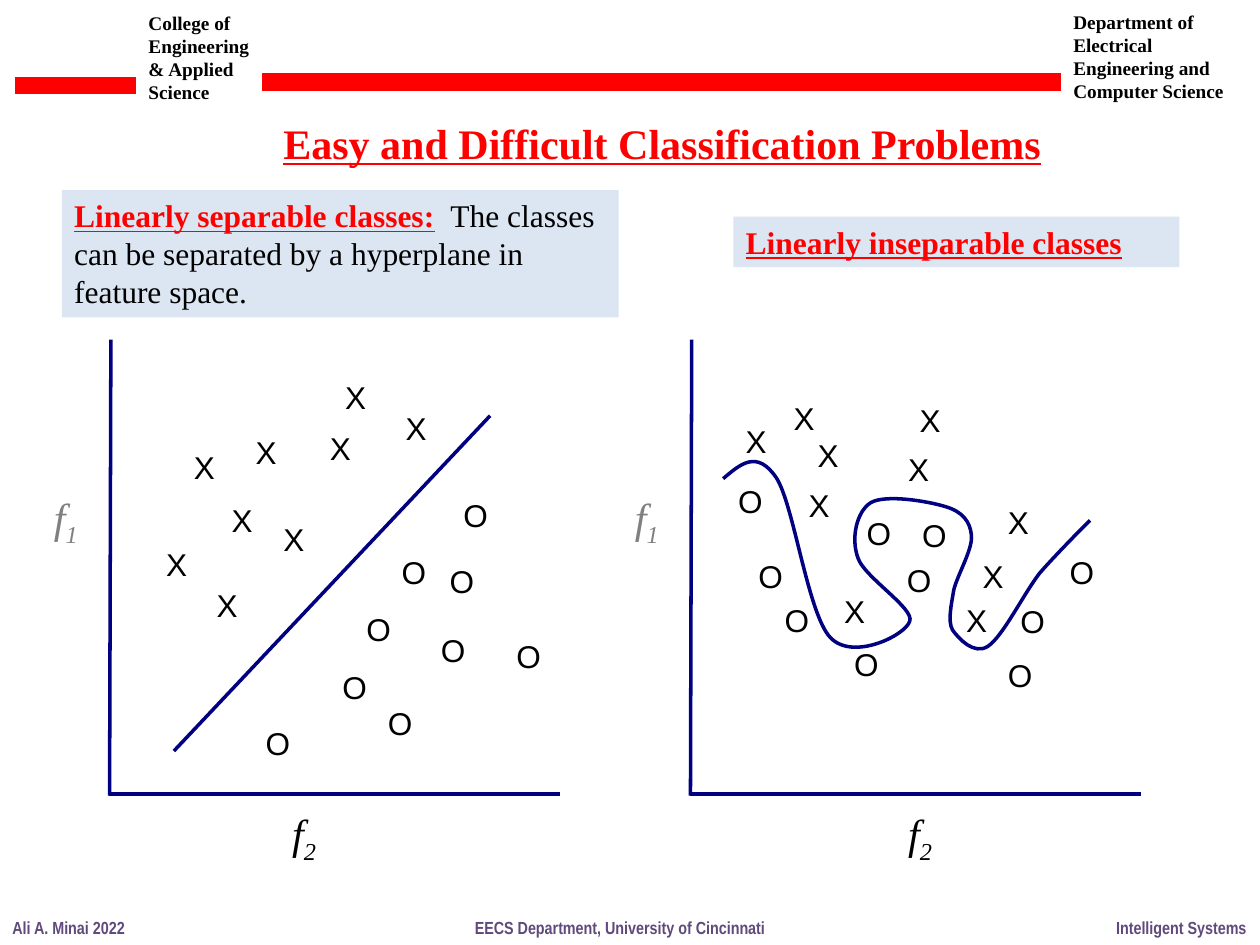
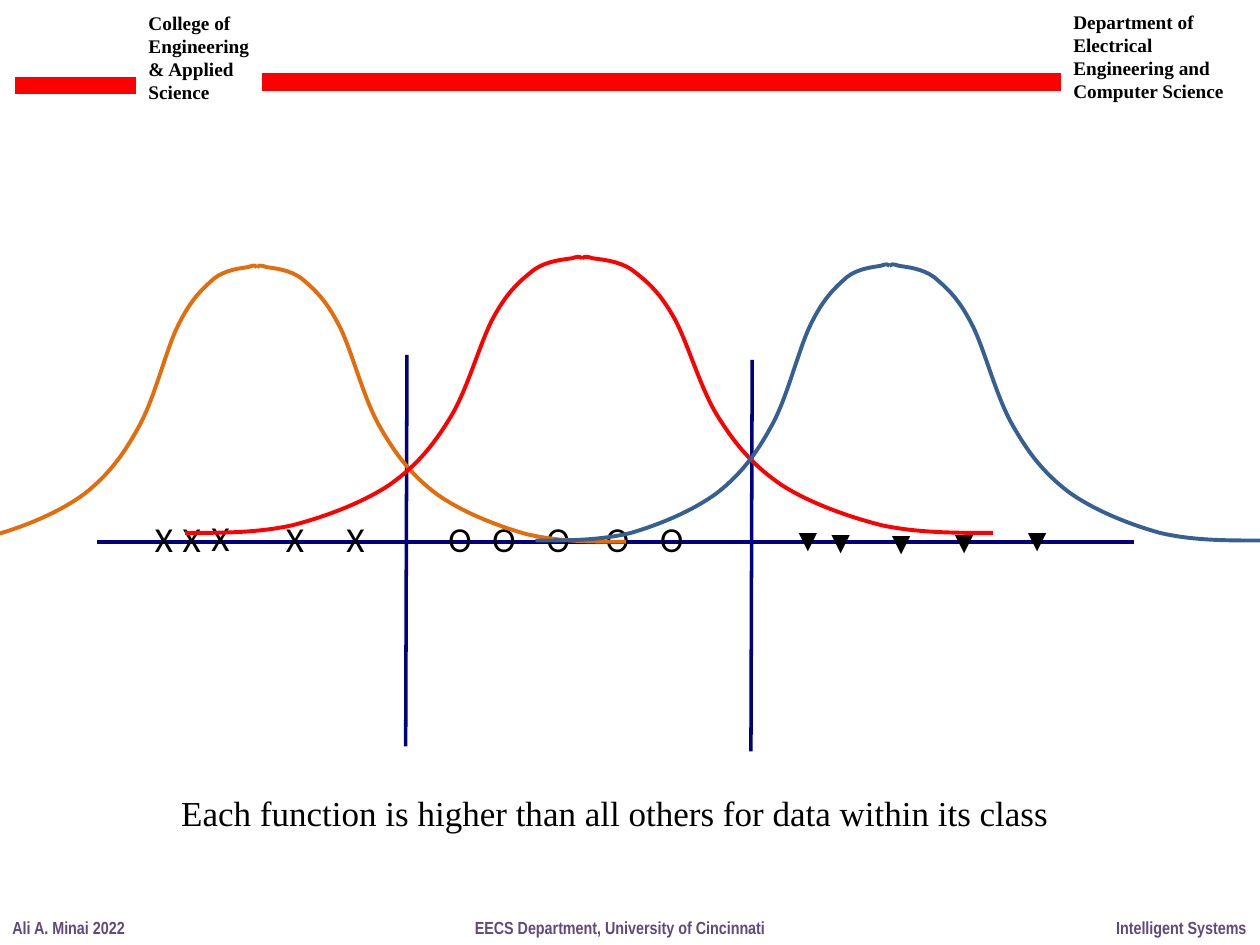
from lxml import etree
from pptx import Presentation
from pptx.dml.color import RGBColor
from pptx.enum import shapes as kinds, text as txt
from pptx.oxml import ns
from pptx.util import Inches, Pt

RED, NAVY, BLACK, GRAY, WHITE = "FF0000", "000080", "000000", "808080", "FFFFFF"
PURPLE, PALE_BLUE = "604A7B", "DCE6F2"
ORANGE, STEEL = "E46C0A", "376092"
SERIF, SANS, NARROW, ROUND = "Times New Roman", "Arial", "Arial Narrow", "Calibri"
HEADING = dict(color=RED, bold=True, underline=True)

PLOT_W, PLOT_H = 3.55, 3.59

# Mark positions are offsets from the top left corner of their plot.
EASY_X = [(.56, .8), (1.64, .65), (.86, 1.22), (1.05, .68), (1.76, .24),
          (.34, 1.57), (1.27, 1.37), (.74, 1.89), (2.24, .49)]
EASY_O = [(2.52, 2.25), (2.59, 1.7), (1.74, 2.54), (1.93, 2.08), (2.7, 1.18),
          (1.13, 2.99), (2.1, 2.83), (3.12, 2.3), (2.21, 1.63)]
HARD_O = [(.27, 1.07), (.43, 1.66), (.64, 2.01), (1.19, 2.36), (1.29, 1.32),
          (1.73, 1.34), (1.61, 1.69), (2.9, 1.63), (2.51, 2.02), (2.41, 2.45)]
HARD_X = [(.71, .41), (.33, .59), (.9, .7), (.83, 1.1), (1.11, 1.94),
          (1.62, .81), (1.71, .42), (2.08, 2.01), (2.21, 1.66), (2.41, 1.23)]

# Bezier knots and handles: start, then two handles and an end per segment.
BOUNDARY = [(.26, 1.08), (.39, .97), (.52, .86), (.67, 1.08),
            (.81, 1.29), (.92, 2.16), (1.1, 2.35),
            (1.28, 2.54), (1.7, 2.33), (1.73, 2.22),
            (1.77, 2.12), (1.37, 1.87), (1.32, 1.72),
            (1.26, 1.56), (1.31, 1.35), (1.42, 1.28),
            (1.54, 1.21), (1.88, 1.27), (2.01, 1.31),
            (2.15, 1.35), (2.21, 1.43), (2.22, 1.54),
            (2.23, 1.65), (2.11, 1.85), (2.08, 1.97),
            (2.06, 2.09), (2.03, 2.22), (2.07, 2.29),
            (2.12, 2.36), (2.24, 2.49), (2.35, 2.42),
            (2.47, 2.34), (2.63, 2.01), (2.76, 1.84),
            (2.9, 1.68), (3.15, 1.43), (3.15, 1.43)]
# Half a bell from foot to peak: distance from the foot, height above the base.
BELL_W = 2.82
BELL = [(0, 0), (.26, 0), (.51, 0), (.76, .06), (1, .13), (1.26, .24),
        (1.45, .38), (1.64, .53), (1.76, .69), (1.88, .91), (2.01, 1.14),
        (2.1, 1.54), (2.2, 1.73), (2.3, 1.93), (2.39, 2.01), (2.48, 2.09),
        (2.57, 2.16), (2.69, 2.17), (2.75, 2.18), (2.8, 2.2), (2.81, 2.19),
        (2.82, 2.18)]


def rgb(value):
    return RGBColor.from_string(value)


def place(shape, left, top, width, height):
    shape.left, shape.top = Inches(left), Inches(top)
    shape.width, shape.height = Inches(width), Inches(height)


def write(frame, *paragraphs, wrap=False, align=None, **base):
    """Fill a frame; a paragraph is a string or a list of (string, format) runs."""
    frame.word_wrap = wrap
    frame.auto_size = txt.MSO_AUTO_SIZE.SHAPE_TO_FIT_TEXT
    for i, runs in enumerate(paragraphs):
        paragraph = frame.add_paragraph() if i else frame.paragraphs[0]
        paragraph.alignment = align
        for words, extra in [(runs, {})] if isinstance(runs, str) else runs:
            look = {**base, **extra}
            run = paragraph.add_run()
            run.text = words
            font = run.font
            font.name, font.size = look.get("face", SERIF), Pt(look["size"])
            font.color.rgb = rgb(look.get("color", BLACK))
            font.bold = look.get("bold", False)
            font.italic = look.get("italic", False)
            font.underline = look.get("underline", False)
            if "baseline" in look:
                font._element.set("baseline", str(look["baseline"]))


def label(slide, box, *paragraphs, fill=None, **look):
    area = slide.shapes.add_textbox(*map(Inches, box))
    if fill:
        area.fill.solid()
        area.fill.fore_color.rgb = rgb(fill)
    write(area.text_frame, *paragraphs, **look)


def stroke(shape, color, width, cap="flat"):
    shape.line.color.rgb = rgb(color)
    shape.line.width = Pt(width)
    shape._element.spPr.find(ns.qn("a:ln")).set("cap", cap)


def line(slide, start, end, color=NAVY, width=2, cap="sq"):
    straight = slide.shapes.add_connector(
        kinds.MSO_CONNECTOR.STRAIGHT, *map(Inches, (*start, *end)))
    stroke(straight, color, width, cap)
    etree.SubElement(straight._element.spPr, ns.qn("a:effectLst"))


def curve(shapes, knots, color, width, cap="flat"):
    """Draw a chain of cubic segments: every three points after the start make one."""
    start, *points = [(Inches(x), Inches(y)) for x, y in knots]
    builder = shapes.build_freeform(*start)
    builder.add_line_segments(points, close=False)
    outline = builder.convert_to_shape()
    sides = list(outline._element.iter(ns.qn("a:lnTo")))
    for first, second, end in zip(sides[::3], sides[1::3], sides[2::3]):
        cubic = etree.Element(ns.qn("a:cubicBezTo"))
        first.addprevious(cubic)
        for side in (first, second, end):
            cubic.append(side[0])
            side.getparent().remove(side)
    outline.fill.background()
    stroke(outline, color, width, cap)
    outline.shadow.inherit = False


def page_frame(slide):
    """Header bands and names, and the footer, shared by all slides."""
    header = dict(size=11, bold=True, wrap=True)
    label(slide, (1.08, .04, 1.09, .84),
          "College of Engineering & Applied", "Science", **header)
    line(slide, (.12, .68), (1.08, .68), RED, 10, "flat")
    line(slide, (2.08, .65), (8.42, .65), RED, 10, "flat")
    label(slide, (8.42, .03, 1.47, .84),
          "Department of Electrical Engineering and Computer Science", **header)
    for left, width, words in ((0, 1.1, "Ali A. Minai 2022"),
                               (8.76, 1.24, "Intelligent Systems"),
                               (3.67, 2.52, "EECS Department, University of Cincinnati")):
        label(slide, (left, 7.23, width, .27), words,
              size=10, face=NARROW, color=PURPLE, bold=True)


def feature_plot(slide, left, top, crosses, circles, f2_left):
    """Two axes with their names and the marks of both classes."""
    base = top + PLOT_H
    line(slide, (left, top), (left - .01, base))
    line(slide, (left, base), (left + PLOT_W, base))
    for number, x, y, color, fill in (("2", f2_left, PLOT_H + .06, BLACK, WHITE),
                                      ("1", -.55, 1.14, GRAY, None)):
        label(slide, (left + x, top + y, .41, .5),
              [("f", {}), (number, {"baseline": -25000})],
              size=24, italic=True, color=color, fill=fill)
    for mark, width, spots in (("X", .38, crosses), ("O", .4, circles)):
        for spot in spots:
            label(slide, (left + spot[0], top + spot[1], width, .4), mark, size=18,
                  face=SANS, fill=WHITE if spot == EASY_X[0] else None)


def bell(slide, left, peak, right, base, color):
    halves = slide.shapes.add_group_shape().shapes
    for foot in (left, right):
        stretch = (peak - foot) / BELL_W
        curve(halves, [(foot + x * stretch, base - y) for x, y in BELL], color, 2.25)


def classification_slide(deck):
    slide = deck.slides.add_slide(deck.slide_layouts[5])
    page_frame(slide)
    title = slide.shapes.title
    place(title, 2.12, .88, 6.27, .5)
    write(title.text_frame, "Easy and Difficult Classification Problems",
          size=24, align=txt.PP_ALIGN.CENTER, **HEADING)

    top, easy, hard = 2.71, .88, 5.49
    feature_plot(slide, easy, top, EASY_X, EASY_O, f2_left=1.34)
    line(slide, (easy + .51, top + 3.24), (easy + 3, top + .6))
    feature_plot(slide, hard, top, HARD_X, HARD_O, f2_left=1.62)
    curve(slide.shapes, [(hard + x, top + y) for x, y in BOUNDARY], NAVY, 2, "sq")

    note = dict(size=18, fill=PALE_BLUE, wrap=True)
    label(slide, (.49, 1.51, 4.42, 1.01),
          [("Linearly separable classes:", HEADING), ("  ", {"bold": True}),
           ("The classes can be separated by a hyperplane in feature space.", {})],
          **note)
    label(slide, (5.82, 1.72, 3.54, .4), "Linearly inseparable classes",
          **note, **HEADING)


def density_slide(deck):
    slide = deck.slides.add_slide(deck.slide_layouts[6])
    page_frame(slide)
    axis = 4.3
    line(slide, (.78, axis), (8.99, axis))
    for x, y in ((3.23, 2.83), (5.97, 2.87)):
        line(slide, (x, y), (x - .01, y + 3.08))

    letter = dict(size=20, face=ROUND)
    classes = (("X", .35, .44, letter, [(1.13, 4.06), (1.35, 4.06), (1.58, 4.05),
                                        (2.65, 4.06), (2.17, 4.06)]),
               ("O", .39, .44, letter, [(x, 4.06) for x in (3.46, 3.81, 4.24, 4.71, 5.14)]),
               ("▼", .45, .4, dict(size=18), [(6.19, 4.08), (6.45, 4.09), (6.93, 4.1),
                                              (7.43, 4.09), (8.01, 4.08)]))
    for mark, width, height, look, spots in classes:
        for x, y in spots:
            label(slide, (x, y, width, height), mark, **look)

    bell(slide, -.78, 2.04, 4.97, axis, ORANGE)
    bell(slide, 1.47, 4.62, 7.88, axis - .07, RED)
    bell(slide, 4.25, 7.06, 10, axis - .01, STEEL)
    label(slide, (1.34, 6.23, 7.13, .44),
          "Each function is higher than all others for data within its class", size=20)


def main():
    deck = Presentation()
    deck.slide_width, deck.slide_height = Inches(10), Inches(7.5)
    classification_slide(deck)
    density_slide(deck)
    deck.save("out.pptx")


if __name__ == "__main__":
    main()
